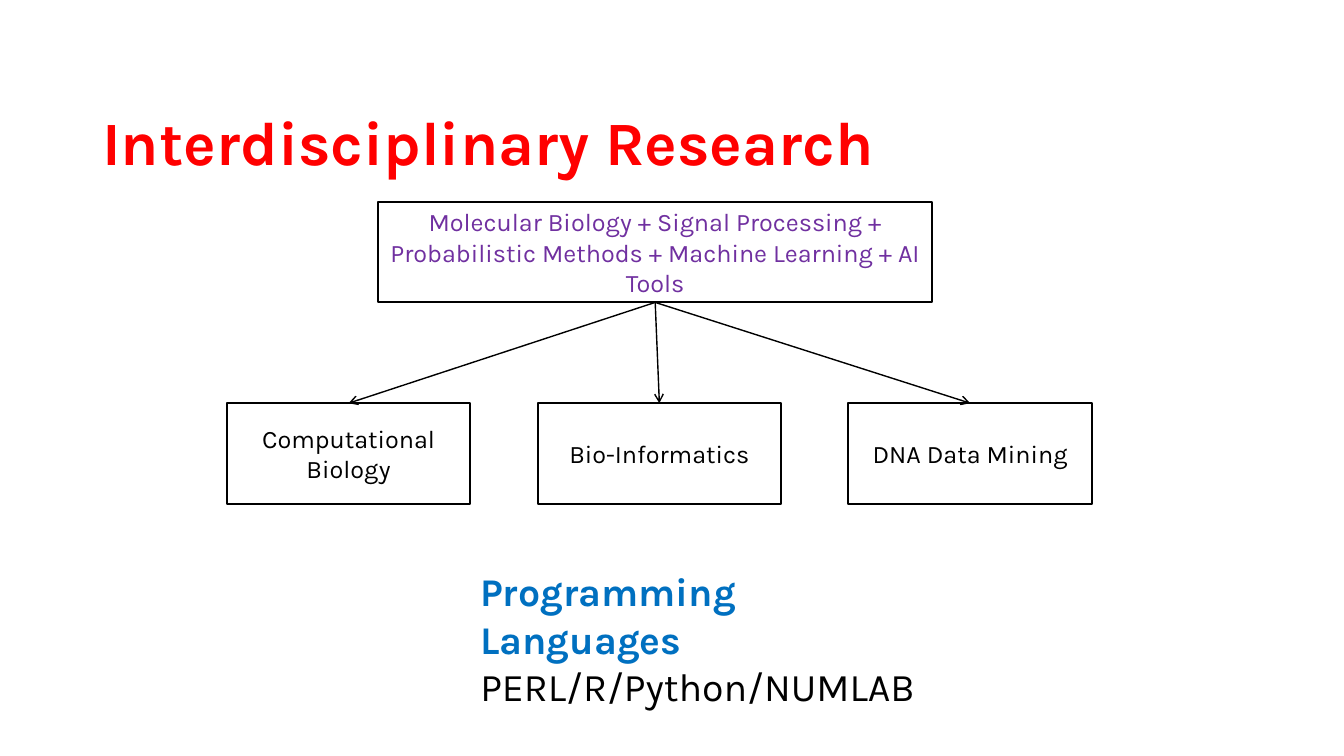
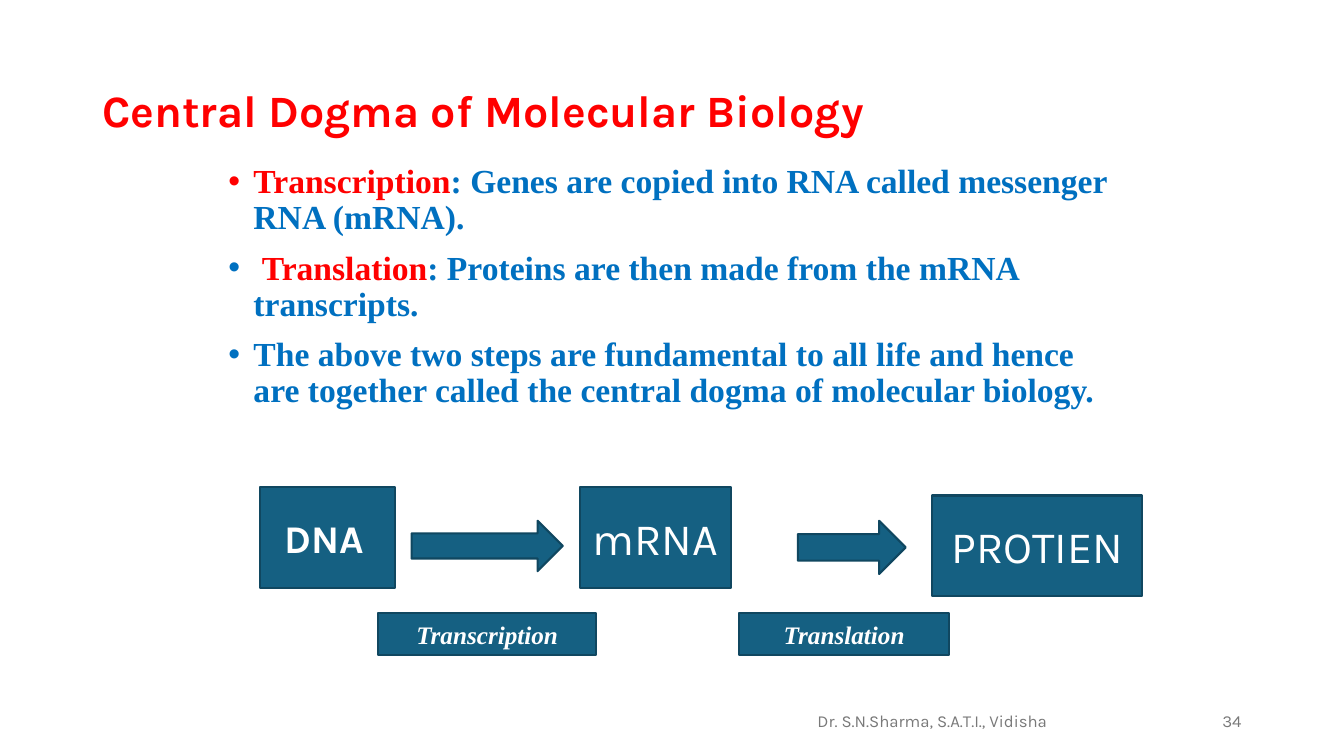
from dataclasses import dataclass

from lxml import etree
from pptx import Presentation
from pptx.dml.color import RGBColor
from pptx.enum.shapes import MSO_CONNECTOR, MSO_SHAPE
from pptx.enum.text import MSO_ANCHOR, PP_ALIGN
from pptx.oxml.ns import qn
from pptx.util import Pt

RECT, ARROW = MSO_SHAPE.RECTANGLE, MSO_SHAPE.RIGHT_ARROW
STRAIGHT = MSO_CONNECTOR.STRAIGHT
TOP, MIDDLE = MSO_ANCHOR.TOP, MSO_ANCHOR.MIDDLE
LEFT, CENTER, RIGHT = PP_ALIGN.LEFT, PP_ALIGN.CENTER, PP_ALIGN.RIGHT

WHITE = RGBColor(0xFF, 0xFF, 0xFF)
BLACK = RGBColor(0x00, 0x00, 0x00)
RED = RGBColor(0xFF, 0x00, 0x00)
BLUE = RGBColor(0x00, 0x70, 0xC0)
PURPLE = RGBColor(0x70, 0x30, 0xA0)
TEAL = RGBColor(0x15, 0x60, 0x82)
DARK = RGBColor(0x10, 0x47, 0x60)
GRAY = RGBColor(0x79, 0x79, 0x79)

SANS, SERIF = "Karla", "Times New Roman"
BOTTOM_SITE, TOP_SITE = 2, 0


@dataclass(frozen=True)
class Run:
    text: str
    size: float
    color: RGBColor
    bold: bool = False
    italic: bool = False
    face: str = SANS


@dataclass(frozen=True)
class Area:
    left: float
    top: float
    width: float
    height: float

    def points(self) -> tuple:
        return Pt(self.left), Pt(self.top), Pt(self.width), Pt(self.height)


@dataclass(frozen=True)
class Look:
    fill: RGBColor
    line: RGBColor


PLAIN = Look(WHITE, BLACK)
SOLID = Look(TEAL, DARK)


def write(frame, paras: list, align=LEFT, anchor=MIDDLE, **layout) -> None:
    """Fill a text frame; each paragraph is a list of runs."""
    frame.word_wrap = True
    frame.vertical_anchor = anchor
    for index, runs in enumerate(paras):
        para = frame.add_paragraph() if index else frame.paragraphs[0]
        para.alignment = align
        for name, value in layout.items():
            if index or name != "space_before":
                setattr(para, name, value)
        for item in runs:
            run = para.add_run()
            run.text = item.text
            values = {"name": item.face, "size": Pt(item.size),
                      "bold": item.bold, "italic": item.italic}
            for name, value in values.items():
                setattr(run.font, name, value)
            run.font.color.rgb = item.color


def add_text(slide, area: Area, paras: list, **layout):
    frame = slide.shapes.add_textbox(*area.points()).text_frame
    write(frame, paras, **layout)
    return frame


def add_title(slide, text: str, size: float, top: float) -> None:
    add_text(slide, Area(66, top, 828, 104), [[Run(text, size, RED, bold=True)]],
             line_spacing=0.9)


def add_block(slide, area: Area, look: Look, runs=(), kind=RECT):
    shape = slide.shapes.add_shape(kind, *area.points())
    shape.shadow.inherit = False
    shape.fill.solid()
    shape.fill.fore_color.rgb = look.fill
    shape.line.color.rgb = look.line
    shape.line.width = Pt(1.5)
    if runs:
        write(shape.text_frame, [runs], align=CENTER)
    return shape


def add_link(slide, start, end) -> None:
    """Draw an arrow from the bottom of one block to the top of another."""
    link = slide.shapes.add_connector(STRAIGHT, 0, 0, 0, 0)
    link.begin_connect(start, BOTTOM_SITE)
    link.end_connect(end, TOP_SITE)
    link.line.color.rgb = BLACK
    link.line.width = Pt(1)
    etree.SubElement(link.line._get_or_add_ln(), qn("a:tailEnd"), type="arrow")
    etree.SubElement(link._element.spPr, qn("a:effectLst"))


def add_bullets(frame, indent: float) -> None:
    for para in frame.paragraphs:
        props = para._p.get_or_add_pPr()
        props.set("marL", str(Pt(indent)))
        props.set("indent", str(-Pt(indent)))
        etree.SubElement(props, qn("a:buFont"), typeface="Arial")
        etree.SubElement(props, qn("a:buChar"), char="•")


def add_footer(slide, text: str, number: str) -> None:
    for area, words, align in (
        (Area(564, 500.4, 204, 28.8), text, CENTER),
        (Area(678, 500.4, 216, 28.8), number, RIGHT),
    ):
        add_text(slide, area, [[Run(words, 12, GRAY)]], align=align)


def draw_research(slide) -> None:
    add_title(slide, "Interdisciplinary Research", 44, 52)
    methods = ("Molecular Biology + Signal Processing + Probabilistic Methods"
               " + Machine Learning + AI Tools")
    root = add_block(slide, Area(270, 144, 396, 72), PLAIN,
                     [Run(methods, 18, PURPLE)])
    fields = ("Computational Biology", "Bio-Informatics", "DNA Data Mining")
    for index, field in enumerate(fields):
        area = Area(162 + 222 * index, 288, 174, 72)
        leaf = add_block(slide, area, PLAIN, [Run(field, 18, BLACK)])
        add_link(slide, root, leaf)
    add_text(slide, Area(336, 402, 330, 75), [
        [Run("Programming Languages", 28, BLUE, bold=True)],
        [Run("PERL/R/Python/NUMLAB", 28, BLACK)],
    ], anchor=TOP)


def draw_dogma(slide) -> None:
    def serif(text: str, color=BLUE) -> Run:
        return Run(text, 24, color, bold=True, face=SERIF)

    add_title(slide, "Central Dogma of Molecular Biology", 32, 28.8)
    body = add_text(slide, Area(156, 114, 648, 374), [
        [serif("Transcription", RED),
         serif(": Genes are copied into RNA called messenger RNA (mRNA).")],
        [serif(" "), serif("Translation", RED),
         serif(": Proteins are then made from the mRNA transcripts.")],
        [serif("The above two steps are fundamental to all life and hence "
               "are together called the central dogma of molecular biology.")],
    ], anchor=TOP, line_spacing=0.9, space_before=Pt(10))
    add_bullets(body, 18)

    for area, runs in (
        (Area(186, 348, 96, 72),
         [Run("DNA", 28, WHITE, bold=True), Run(" ", 18, WHITE)]),
        (Area(414, 348, 108, 72), [Run("mRNA", 32, WHITE)]),
        (Area(666, 354, 150, 72), [Run("PROTIEN", 32, WHITE)]),
    ):
        add_block(slide, area, SOLID, runs)
    for area in (Area(294, 372, 108, 36), Area(570, 372, 77, 38)):
        add_block(slide, area, SOLID, kind=ARROW)
    for area, step in (
        (Area(270, 438, 156, 30), "Transcription"),
        (Area(528, 438, 150, 30), "Translation"),
    ):
        label = Run(step, 18, WHITE, bold=True, italic=True, face=SERIF)
        add_block(slide, area, SOLID, [label])
    add_footer(slide, "Dr. S.N.Sharma, S.A.T.I., Vidisha", "34")


def main() -> None:
    deck = Presentation()
    deck.slide_width, deck.slide_height = Pt(960), Pt(540)
    blank = deck.slide_layouts[6]
    for draw in (draw_research, draw_dogma):
        draw(deck.slides.add_slide(blank))
    deck.save("out.pptx")


if __name__ == "__main__":
    main()
